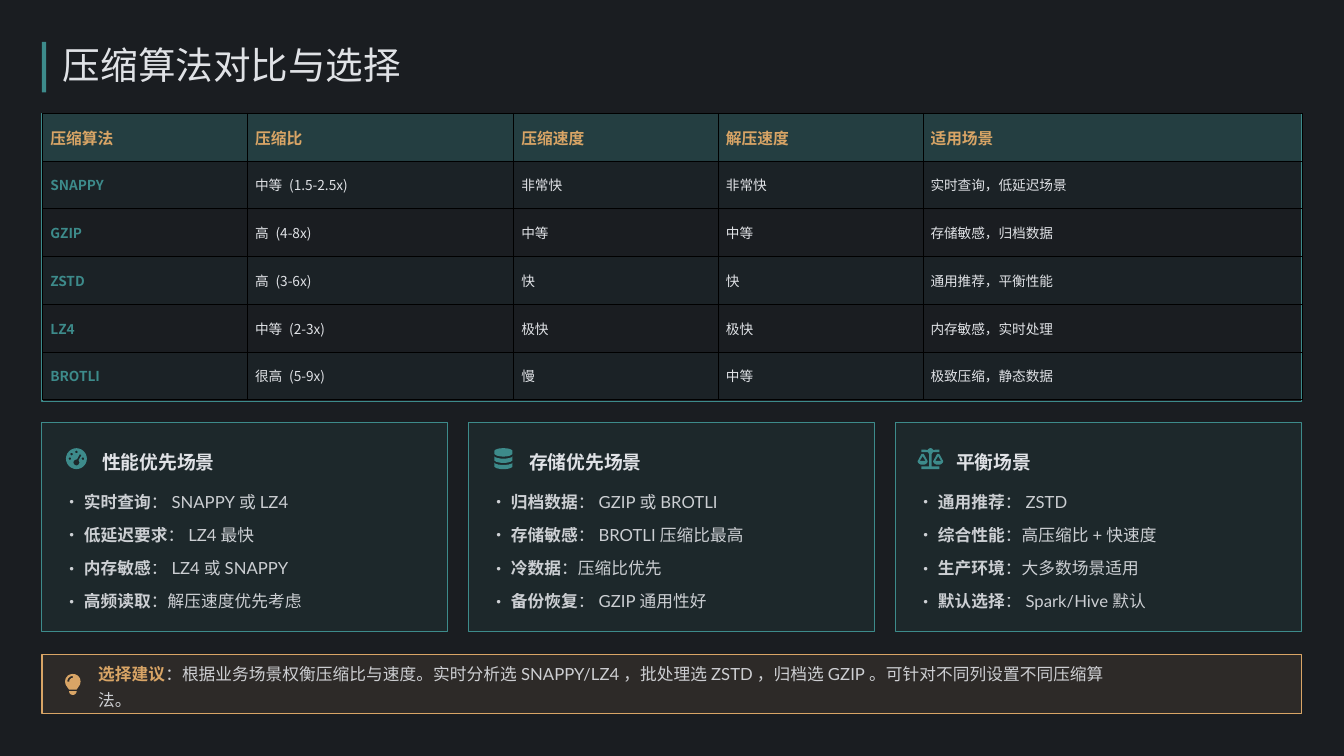
from dataclasses import dataclass
from math import cos, radians, sin

from lxml.etree import SubElement
from pptx import Presentation
from pptx.dml.color import RGBColor
from pptx.enum.shapes import MSO_SHAPE as Preset
from pptx.enum.text import MSO_ANCHOR as Anchor
from pptx.oxml.ns import qn
from pptx.util import Inches, Pt

COLUMNS = 64
UNIT = Inches(17.78) / COLUMNS


@dataclass(frozen=True)
class Theme:
    """Colours, fonts and type sizes of the deck."""
    ground: str = "1A1D21"
    teal: str = "3D8B8B"
    amber: str = "D9A566"
    ink: str = "E0E2E6"
    border: str = "000000"
    sans: str = "Lato"
    cjk: str = "Noto Sans CJK SC"
    title: float = 35.8
    heading: float = 17.9
    body: float = 15.9
    table_head: float = 15
    table_body: float = 13


@dataclass(frozen=True)
class Box:
    """A rectangle measured in grid columns and rows."""
    left: float
    top: float
    width: float
    height: float

    def within(self, left, top, width, height):
        """Return a box placed relative to this one."""
        return Box(self.left + left, self.top + top, width, height)

    def emu(self):
        """Return left, top, width and height in EMU."""
        return [round(n * UNIT) for n in (self.left, self.top, self.width, self.height)]


THEME = Theme()

ALGORITHMS = [
    ("压缩算法", "压缩比", "压缩速度", "解压速度", "适用场景"),
    ("SNAPPY", "中等 (1.5-2.5x)", "非常快", "非常快", "实时查询，低延迟场景"),
    ("GZIP", "高 (4-8x)", "中等", "中等", "存储敏感，归档数据"),
    ("ZSTD", "高 (3-6x)", "快", "快", "通用推荐，平衡性能"),
    ("LZ4", "中等 (2-3x)", "极快", "极快", "内存敏感，实时处理"),
    ("BROTLI", "很高 (5-9x)", "慢", "中等", "极致压缩，静态数据"),
]
COLUMN_SHARES = (0.1625, 0.2115, 0.1625, 0.1625, 0.301)


def arc(x, y, rx, ry, start=0, end=360, steps=24):
    """Return points along an elliptical arc, in hundredths of a grid unit."""
    angles = [radians(start + (end - start) * i / steps) for i in range(steps + 1)]
    return [(x + rx * cos(a), y + ry * sin(a)) for a in angles]


def gauge():
    """Return the outlines of a speed gauge."""
    ticks = [arc(x, y, 6, 6) for x, y in ((50, 18), (27, 28), (19, 50), (81, 50))]
    needle = arc(50, 68, 14, 14, -45, 280) + [(66, 29), (74, 33)]
    return [arc(50, 50, 50, 50), needle, *ticks]


def database():
    """Return the outlines of a stack of disks."""
    lid = arc(50, 15, 43, 15, 180, 360) + arc(50, 25, 43, 15, 0, 180)
    disks = [arc(50, y, 43, 12, 0, 180) + arc(50, y + 18, 43, 14, 180, 0) for y in (38, 68)]
    return [lid, *disks]


def scales():
    """Return the outlines of a pair of scales."""
    right = [(93, 7), (93, 19), (62, 19), (56, 28), (56, 87), (93, 87), (93, 100)]
    left = [(100 - x, y) for x, y in reversed(right)]
    outlines = [arc(50, 13, 13, 13, 205, 335) + right + left]
    for x in (13, 87):
        outlines.append(arc(x, 62, 24, 17, 0, 180) + [(x - 5, 27), (x + 5, 27)])
        outlines.append([(x, 38), (x - 14, 61), (x + 14, 61)])
    return outlines


def bulb():
    """Return the outlines of a light bulb."""
    glass = arc(50, 36, 37, 36, 150, 390) + [(68, 75), (32, 75)]
    shine = arc(50, 36, 26, 26, 180, 270) + arc(50, 36, 17, 17, 270, 180)
    return [glass, arc(50, 82, 18, 18, 0, 180), shine]


SCENARIOS = [
    ("性能优先场景", gauge, [("实时查询", "SNAPPY或LZ4"), ("低延迟要求", "LZ4最快"),
                       ("内存敏感", "LZ4或SNAPPY"), ("高频读取", "解压速度优先考虑")]),
    ("存储优先场景", database, [("归档数据", "GZIP或BROTLI"), ("存储敏感", "BROTLI压缩比最高"),
                          ("冷数据", "压缩比优先"), ("备份恢复", "GZIP通用性好")]),
    ("平衡场景", scales, [("通用推荐", "ZSTD"), ("综合性能", "高压缩比+快速度"),
                      ("生产环境", "大多数场景适用"), ("默认选择", "Spark/Hive默认")]),
]
ADVICE = ("选择建议", "根据业务场景权衡压缩比与速度。实时分析选SNAPPY/LZ4，批处理选ZSTD，"
                  "归档选GZIP。可针对不同列设置不同压缩算法。")


def rgb(color):
    """Return a colour object for a hex string."""
    return RGBColor.from_string(color)


def fade(element, opacity):
    """Make the first colour inside an element translucent."""
    color = next(element.iter(qn("a:srgbClr")))
    SubElement(color, qn("a:alpha"), val=str(round(opacity * 100000)))


def style(paragraph, face, size, color, bold=False, opacity=1):
    """Set the type of a whole paragraph."""
    font = paragraph.font
    font.name, font.size, font.bold = face, Pt(size), bold
    font.color.rgb = rgb(color)
    properties = paragraph._p.pPr
    SubElement(properties.find(qn("a:defRPr")), qn("a:ea"), typeface=face)
    if opacity < 1:
        fade(properties, opacity)


def add_frame(slide, box):
    """Add an empty text box without margins and return its frame."""
    frame = slide.shapes.add_textbox(*box.emu()).text_frame
    frame.word_wrap, frame.vertical_anchor = True, Anchor.MIDDLE
    frame.margin_left = frame.margin_top = frame.margin_right = frame.margin_bottom = 0
    return frame


def add_labelled(paragraph, label, detail):
    """Write a bold label followed by its detail and return the label run."""
    paragraph.line_spacing = 1.3
    style(paragraph, THEME.sans, THEME.body, THEME.ink, opacity=0.9)
    lead = paragraph.add_run()
    lead.text, lead.font.bold = label, True
    paragraph.add_run().text = f"：{detail}"
    return lead


def add_panel(slide, box, line=None, fill=None, opacity=1):
    """Add a rectangle with an optional outline and fill."""
    panel = slide.shapes.add_shape(Preset.RECTANGLE, *box.emu())
    panel.shadow.inherit = False
    if fill:
        panel.fill.solid()
        panel.fill.fore_color.rgb = rgb(fill)
        fade(panel._element.spPr, opacity)
    else:
        panel.fill.background()
    if line:
        panel.line.color.rgb, panel.line.width = rgb(line), Pt(1)
    else:
        panel.line.fill.background()


def add_icon(slide, box, outlines, color):
    """Draw an icon of several outlines from the box's top left corner."""
    builder = slide.shapes.build_freeform(*outlines[0][0], scale=UNIT / 100)
    for outline in outlines:
        builder.move_to(*outline[0])
        builder.add_line_segments(outline[1:], close=True)
    icon = builder.convert_to_shape(*box.emu()[:2])
    icon.shadow.inherit = False
    icon.fill.solid()
    icon.fill.fore_color.rgb = rgb(color)
    icon.line.fill.background()


def add_title(slide, box):
    """Place the accent bar and the title."""
    add_panel(slide, box.within(0, 0, 0.2, box.height), fill=THEME.teal)
    title = add_frame(slide, box.within(1, 0.2, 17, 2)).paragraphs[0]
    title.text, title.line_spacing = "压缩算法对比与选择", 0.9
    style(title, THEME.cjk, THEME.title, THEME.ink)


def add_cell(cell, text, size, color, bold, opacity):
    """Fill one table cell with its text, borders and tint."""
    cell.text, cell.vertical_anchor = text, Anchor.MIDDLE
    style(cell.text_frame.paragraphs[0], THEME.cjk, size, color, bold)
    properties = cell._tc.get_or_add_tcPr()
    for side in "LRTB":
        border = SubElement(properties, qn(f"a:ln{side}"), w=str(Pt(1)))
        SubElement(SubElement(border, qn("a:solidFill")), qn("a:srgbClr"), val=THEME.border)
    if opacity:
        cell.fill.solid()
        cell.fill.fore_color.rgb = rgb(THEME.teal)
        fade(properties.find(qn("a:solidFill")), opacity)
    else:
        cell.fill.background()


def add_comparison(slide, box):
    """Place the outlined table of algorithms."""
    add_panel(slide, box, line=THEME.teal)
    left, top, width, height = box.within(0.04, 0, box.width - 0.04, box.height - 0.06).emu()
    table = slide.shapes.add_table(len(ALGORITHMS), len(COLUMN_SHARES),
                                   left, top, width, height).table
    table.first_row = table.horz_banding = False
    for column, share in zip(table.columns, COLUMN_SHARES):
        column.width = round(width * share)
    for r, values in enumerate(ALGORITHMS):
        for c, value in enumerate(values):
            size = THEME.table_body if r else THEME.table_head
            color = THEME.amber if r == 0 else THEME.ink if c else THEME.teal
            tint = 0.3 if r == 0 else 0.05 * (r % 2)
            add_cell(table.cell(r, c), value, size, color, r == 0 or c == 0, tint)


def add_scenario(slide, box, heading, icon, choices):
    """Place one scenario panel with icon, heading and choices."""
    add_panel(slide, box, THEME.teal, THEME.teal, 0.1)
    add_icon(slide, box.within(1.14, 1.22, 1, 1), icon(), THEME.teal)
    title = add_frame(slide, box.within(2.86, 1.04, len(heading), 1.4)).paragraphs[0]
    title.text, title.line_spacing = heading, 1.3
    style(title, THEME.sans, THEME.heading, THEME.ink, True)
    frame = add_frame(slide, box.within(1.02, 3.02, 17.68, 5.94))
    for i, (label, detail) in enumerate(choices):
        choice = frame.add_paragraph() if i else frame.paragraphs[0]
        choice.space_before = Pt(6.9 if i else 0)
        properties = choice._p.get_or_add_pPr()
        properties.set("marL", str(Inches(0.27)))
        properties.set("indent", str(-Inches(0.27)))
        SubElement(properties, qn("a:buFont"), typeface=THEME.cjk)
        SubElement(properties, qn("a:buChar"), char="•")
        add_labelled(choice, label, detail)


def add_advice(slide, box):
    """Place the closing advice bar."""
    add_panel(slide, box, THEME.amber, THEME.amber, 0.1)
    add_icon(slide, box.within(0.97, 0.94, 1, 1), bulb(), THEME.amber)
    advice = add_frame(slide, box.within(2.68, 0.83, 48.6, 1.2)).paragraphs[0]
    add_labelled(advice, *ADVICE).font.color.rgb = rgb(THEME.amber)


def main():
    """Build and save the slide."""
    deck = Presentation()
    deck.slide_width, deck.slide_height = Inches(17.78), Inches(10)
    slide = deck.slides.add_slide(deck.slide_layouts[6])
    slide.background.fill.solid()
    slide.background.fill.fore_color.rgb = rgb(THEME.ground)
    margin, gap = 2, 1
    content = COLUMNS - 2 * margin
    add_title(slide, Box(margin, 2, content, 2.4))
    add_comparison(slide, Box(margin, 5.4, content, 13.7))
    width = (content - gap * (len(SCENARIOS) - 1)) / len(SCENARIOS)
    for i, scenario in enumerate(SCENARIOS):
        add_scenario(slide, Box(margin + i * (width + gap), 20.12, width, 9.97), *scenario)
    add_advice(slide, Box(margin, 31.15, content, 2.84))
    deck.save("out.pptx")


if __name__ == "__main__":
    main()
